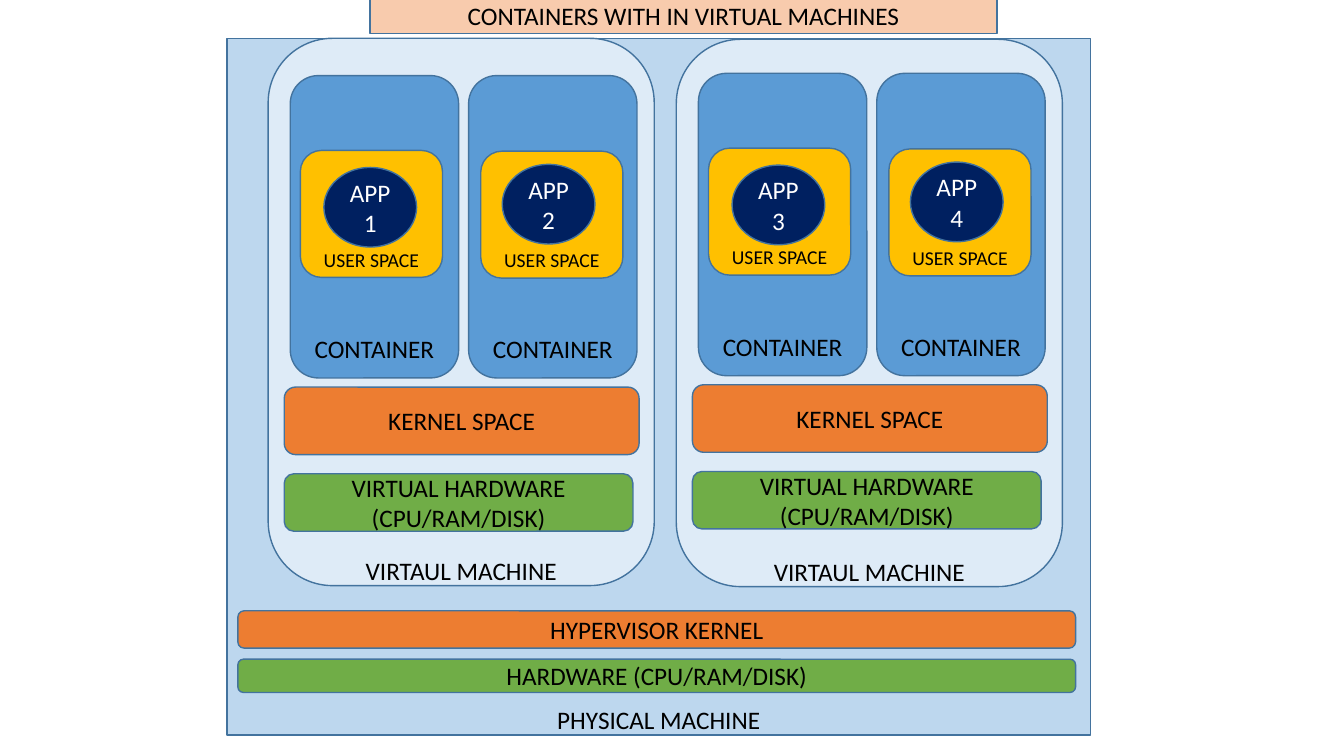
from dataclasses import dataclass
from typing import NamedTuple

from pptx import Presentation
from pptx.dml.color import RGBColor
from pptx.enum.shapes import MSO_SHAPE
from pptx.enum.text import MSO_ANCHOR, PP_ALIGN
from pptx.util import Inches, Pt


@dataclass(frozen=True)
class Theme:
    font: str = "Calibri"
    size: int = 18
    small: int = 14
    text: str = "000000"
    light: str = "FFFFFF"
    line: str = "43739E"
    title: str = "F8CBAD"
    physical: str = "BDD7EE"
    virtual: str = "DEEBF7"
    container: str = "5B9BD5"
    user: str = "FFC000"
    app: str = "002060"
    kernel: str = "ED7D31"
    hardware: str = "70AD47"


class Box(NamedTuple):
    """Position and size in percent of the slide's width and height."""
    x: float
    y: float
    w: float
    h: float


class App(NamedTuple):
    name: str
    user_dx: float
    user_dy: float
    app_dy: float


class Machine(NamedTuple):
    x: float
    frame_y: float
    content_y: float
    apps: tuple[App, App]


T = Theme()
RECT, ROUND, OVAL = MSO_SHAPE.RECTANGLE, MSO_SHAPE.ROUNDED_RECTANGLE, MSO_SHAPE.OVAL
CONTAINER_PITCH = 13.27
MACHINES = (
    Machine(19.95, 5.07, 10, (App("APP1", 0.75, 9.9, 12.15), App("APP2", 0.9, 10, 11.75))),
    Machine(50.32, 5.2, 9.7, (App("APP3", 0.75, 9.9, 12.15), App("APP4", 0.9, 10, 11.75))),
)

prs = Presentation()
prs.slide_width, prs.slide_height = Inches(13.33), Inches(7.5)
slide = prs.slides.add_slide(prs.slide_layouts[6])


def emu(box: Box) -> tuple[int, int, int, int]:
    w, h = prs.slide_width / 100, prs.slide_height / 100
    return int(box.x * w), int(box.y * h), int(box.w * w), int(box.h * h)


def write(sp, text: str, size: int = T.size, color: str = T.text,
          bottom: float | None = None) -> None:
    """Centre the text, or stand it on the given bottom margin in inches."""
    tf = sp.text_frame
    tf.word_wrap = True
    tf.vertical_anchor = MSO_ANCHOR.MIDDLE
    if bottom is not None:
        tf.vertical_anchor = MSO_ANCHOR.BOTTOM
        tf.margin_top, tf.margin_bottom = 0, Inches(bottom)
    p = tf.paragraphs[0]
    p.text = text
    p.alignment = PP_ALIGN.CENTER
    p.font.name, p.font.size = T.font, Pt(size)
    p.font.color.rgb = RGBColor.from_string(color)


def block(kind: MSO_SHAPE, box: Box, fill: str, text: str = "", size: int = T.size,
          color: str = T.text, bottom: float | None = None) -> None:
    sp = slide.shapes.add_shape(kind, *emu(box))
    sp.shadow.inherit = False
    sp.fill.solid()
    sp.fill.fore_color.rgb = RGBColor.from_string(fill)
    sp.line.color.rgb = RGBColor.from_string(T.line)
    sp.line.width = Pt(1)
    if text:
        write(sp, text, size, color, bottom)


def container(x: float, y: float, app: App) -> None:
    block(ROUND, Box(x, y, 12.53, 40), T.container, "CONTAINER", bottom=0.06)
    block(ROUND, Box(x + app.user_dx, y + app.user_dy, 10.58, 16.8), T.user,
          "USER SPACE", size=T.small, bottom=0)
    block(OVAL, Box(x + 2.5, y + app.app_dy, 6.9, 10.53), T.app, app.name, color=T.light)


def machine(m: Machine) -> None:
    frame = Box(m.x, m.frame_y, 28.73, 72.4)
    block(ROUND, frame, T.virtual)
    label_h = 4.1
    label = Box(m.x, frame.y + frame.h - label_h, frame.w, label_h)
    write(slide.shapes.add_textbox(*emu(label)), "VIRTAUL MACHINE", bottom=0)
    block(ROUND, Box(m.x + 1.2, m.content_y + 52.67, 25.95, 7.6), T.hardware,
          "VIRTUAL HARDWARE (CPU/RAM/DISK)")
    block(ROUND, Box(m.x + 1.2, m.content_y + 41.2, 26.4, 8.93), T.kernel, "KERNEL SPACE")
    for i, app in enumerate(m.apps):
        container(m.x + 1.65 + i * CONTAINER_PITCH, m.content_y, app)


# Physical machine and its base layers
block(RECT, Box(16.88, 5.07, 64.28, 92.13), T.physical, "PHYSICAL MACHINE", bottom=0)
block(ROUND, Box(17.7, 87.2, 62.33, 4.4), T.hardware, "HARDWARE (CPU/RAM/DISK)")
block(ROUND, Box(17.7, 80.8, 62.33, 4.93), T.kernel, "HYPERVISOR KERNEL")

# Virtual machines with their containers
for m in MACHINES:
    machine(m)

# Title
block(RECT, Box(27.53, -0.27, 46.65, 4.67), T.title, "CONTAINERS WITH IN VIRTUAL MACHINES")

prs.save("out.pptx")
